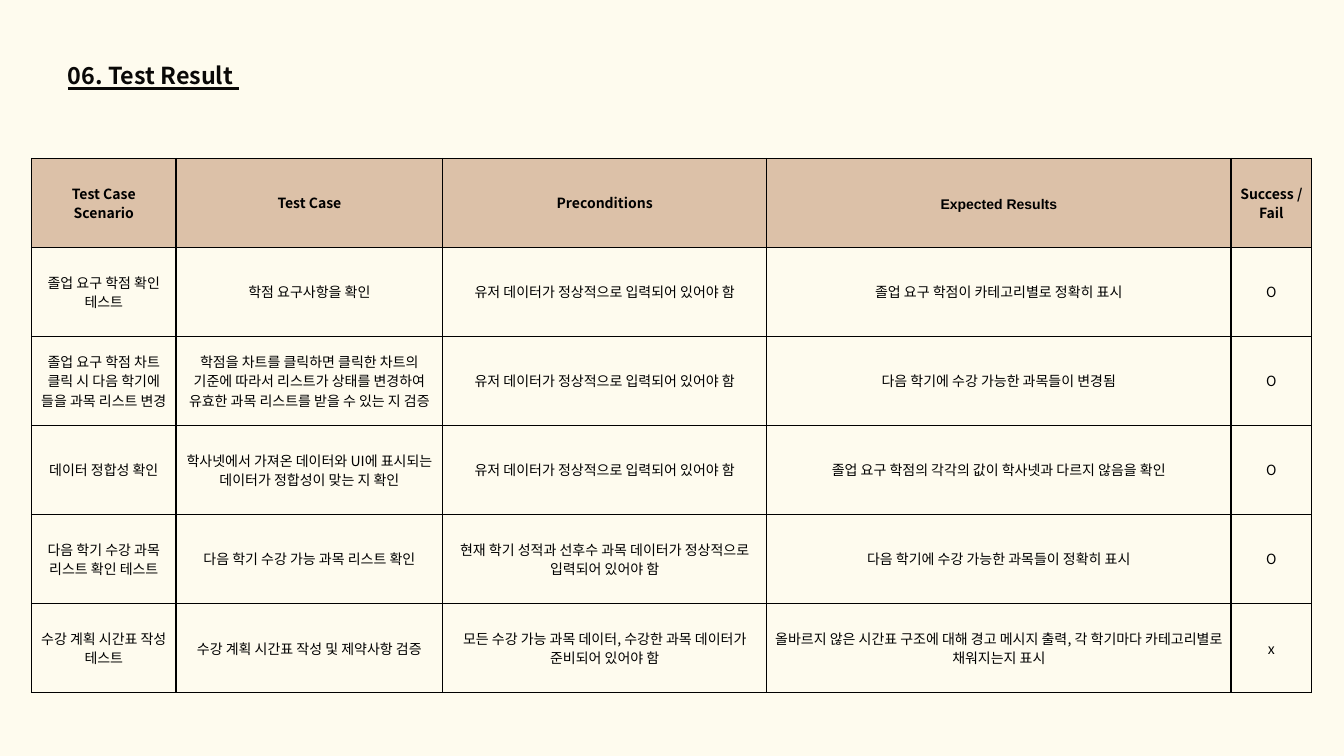
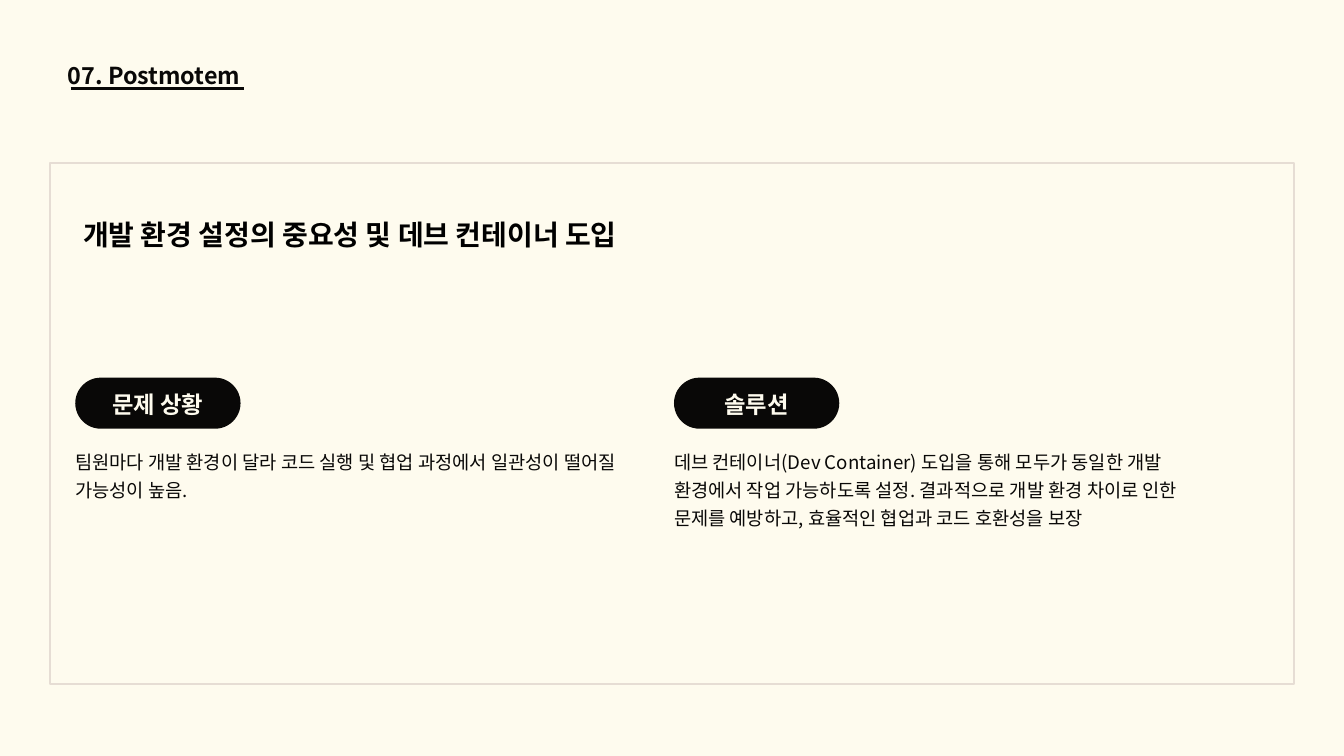
from lxml.etree import SubElement as Sub
from pptx import Presentation
from pptx.dml.color import RGBColor as Rgb
from pptx.enum.shapes import MSO_CONNECTOR as Link, MSO_SHAPE as Shape
from pptx.enum.text import MSO_ANCHOR as Anchor, MSO_AUTO_SIZE as Auto, PP_ALIGN as Align
from pptx.oxml import parse_xml
from pptx.oxml.ns import nsdecls, qn
from pptx.util import Inches, Pt

HUES = {
    "page": "FEFBEE",
    "ink": "090807",
    "black": "000000",
    "head": "DCC1A8",
    "frame": "E6DDD4",
}
SANS = "Noto Sans CJK KR"
BOLD = "Noto Sans CJK SC"
LEFT = 1.01
COLS = [2.15, 3.97, 4.82, 6.91, 1.2]
ROW = 1.325
READY = "유저 데이터가 정상적으로 입력되어 있어야 함"
HEADS = ["Test Case\nScenario", "Test Case", "Preconditions", "Expected Results", "Success / Fail"]
TESTS = [
    ["졸업 요구 학점 확인 테스트", "학점 요구사항을 확인", READY,
     "졸업 요구 학점이 카테고리별로 정확히 표시", "O"],
    ["졸업 요구 학점 차트 클릭 시 다음 학기에 들을 과목 리스트 변경",
     "학점을 차트를 클릭하면 클릭한 차트의\n"
     "기준에 따라서 리스트가 상태를 변경하여 유효한 과목 리스트를 받을 수 있는 지 검증",
     READY, "다음 학기에 수강 가능한 과목들이 변경됨", "O"],
    ["데이터 정합성 확인",
     "학사넷에서 가져온 데이터와 UI에 표시되는 데이터가 정합성이 맞는 지 확인",
     READY, "졸업 요구 학점의 각각의 값이 학사넷과 다르지 않음을 확인", "O"],
    ["다음 학기 수강 과목 리스트 확인 테스트", "다음 학기 수강 가능 과목 리스트 확인",
     "현재 학기 성적과 선후수 과목 데이터가 정상적으로 입력되어 있어야 함",
     "다음 학기에 수강 가능한 과목들이 정확히 표시", "O"],
    ["수강 계획 시간표 작성 테스트", "수강 계획 시간표 작성 및 제약사항 검증",
     "모든 수강 가능 과목 데이터, 수강한 과목 데이터가 준비되어 있어야 함",
     "올바르지 않은 시간표 구조에 대해 경고 메시지 출력, 각 학기마다 카테고리별로 채워지는지 표시", "x"],
]
NOTES = [
    (1.12, 8.17, "문제 상황",
     "팀원마다 개발 환경이 달라 코드 실행 및 협업 과정에서 일관성이 떨어질 가능성이 높음."),
    (10.03, 8.01, "솔루션",
     "데브 컨테이너(Dev Container) 도입을 통해 모두가 동일한 개발 환경에서 작업 가능하도록 설정. "
     "결과적으로 개발 환경 차이로 인한 문제를 예방하고, 효율적인 협업과 코드 호환성을 보장"),
]


def hue(name):
    return Rgb.from_string(HUES[name])


def write(frame, text, size, lead, face=SANS, color="ink", bold=False, align=Align.LEFT):
    frame.text = text
    for para in frame.paragraphs:
        para.alignment = align
        para.line_spacing = Pt(lead)
        font = para.font
        font.size = Pt(size)
        font.bold = bold
        font.name = face
        font.color.rgb = hue(color)
        Sub(para._p.pPr.find(qn("a:defRPr")), qn("a:ea"), typeface=face)


def pad(box, gap):
    box.margin_left = box.margin_right = box.margin_top = box.margin_bottom = Inches(gap)


def fit(frame):
    pad(frame, 0)
    frame.word_wrap = True
    frame.auto_size = Auto.NONE


def add_page(deck, title, start, end):
    slide = deck.slides.add_slide(deck.slide_layouts[5])
    head = slide.shapes.title
    head.left, head.top = Inches(LEFT), Inches(0.84)
    head.width, head.height = Inches(end - LEFT), Inches(0.46)
    fit(head.text_frame)
    head.text_frame.vertical_anchor = Anchor.TOP
    write(head.text_frame, title, 25, 35, BOLD, bold=True)
    line = slide.shapes.add_connector(
        Link.STRAIGHT, Inches(start), Inches(1.32), Inches(end), Inches(1.32))
    line.line.color.rgb = hue("ink")
    line.line.width = Pt(3)
    Sub(line._element.spPr, qn("a:effectLst"))
    return slide


def add_text(slide, left, top, width, height, text, size, lead, **style):
    box = slide.shapes.add_textbox(Inches(left), Inches(top), Inches(width), Inches(height))
    fit(box.text_frame)
    write(box.text_frame, text, size, lead, **style)


def add_frame(slide):
    box = slide.shapes.add_shape(
        Shape.RECTANGLE, Inches(0.75), Inches(2.43), Inches(18.5), Inches(7.75))
    box.shadow.inherit = False
    box.fill.background()
    box.line.color.rgb = hue("frame")
    box.line.width = Pt(2.25)


def add_pill(slide, left, text):
    pill = slide.shapes.add_shape(
        Shape.ROUNDED_RECTANGLE, Inches(left), Inches(5.62), Inches(2.46), Inches(0.76))
    pill.adjustments[0] = 0.5
    pill.shadow.inherit = False
    pill.fill.solid()
    pill.fill.fore_color.rgb = hue("ink")
    pill.line.fill.background()
    fit(pill.text_frame)
    pill.text_frame.margin_bottom = Inches(0.04)
    pill.text_frame.vertical_anchor = Anchor.MIDDLE
    write(pill.text_frame, text, 25, 35, BOLD, "page", True, Align.CENTER)


def edge(cell):
    props = cell._tc.get_or_add_tcPr()
    for spot, side in enumerate("LRTB"):
        props.insert(spot, parse_xml(
            f'<a:ln{side} {nsdecls("a")} w="{Pt(1.5)}"><a:solidFill>'
            f'<a:srgbClr val="{HUES["black"]}"/></a:solidFill></a:ln{side}>'))


def add_grid(slide, rows):
    grid = slide.shapes.add_table(
        len(rows), len(COLS), Inches(0.47), Inches(2.36),
        Inches(sum(COLS)), Inches(ROW * len(rows))).table
    grid.first_row = grid.horz_banding = False
    for col, width in zip(grid.columns, COLS):
        col.width = Inches(width)
    for y, row in enumerate(rows):
        grid.rows[y].height = Inches(ROW)
        for x, text in enumerate(row):
            cell = grid.cell(y, x)
            pad(cell, 0.08)
            cell.vertical_anchor = Anchor.MIDDLE
            if y == 0:
                cell.fill.solid()
                cell.fill.fore_color.rgb = hue("head")
            else:
                cell.fill.background()
            edge(cell)
            face = "Arial" if text == "Expected Results" else SANS
            write(cell.text_frame, text, 15, 21, face, "black", y == 0, Align.CENTER)


def main():
    deck = Presentation()
    deck.slide_width, deck.slide_height = Inches(20), Inches(11.25)
    back = deck.slide_master.background.fill
    back.solid()
    back.fore_color.rgb = hue("page")

    tests = add_page(deck, "06. Test Result", 1.01, 3.55)
    add_grid(tests, [HEADS] + TESTS)

    review = add_page(deck, "07. Postmotem", 1.05, 3.63)
    add_frame(review)
    add_text(review, 1.12, 3.16, 8.18, 0.56, "개발 환경 설정의 중요성 및 데브 컨테이너 도입",
             30, 42, color="black", bold=True, align=Align.CENTER)
    for left, width, label, text in NOTES:
        add_pill(review, left, label)
        add_text(review, left, 6.63, width, 1.25, text, 20, 30)
    deck.save("out.pptx")


if __name__ == "__main__":
    main()
